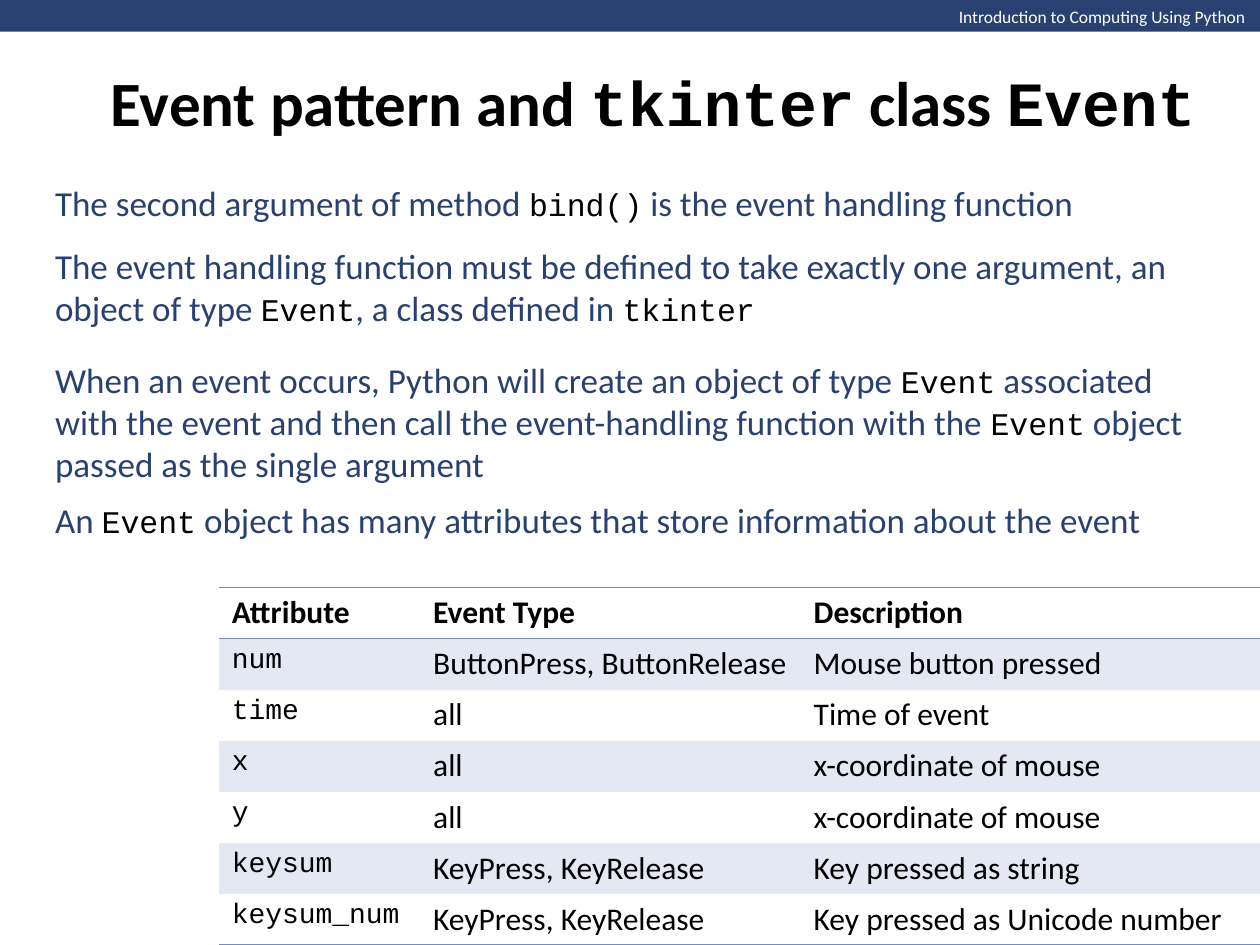
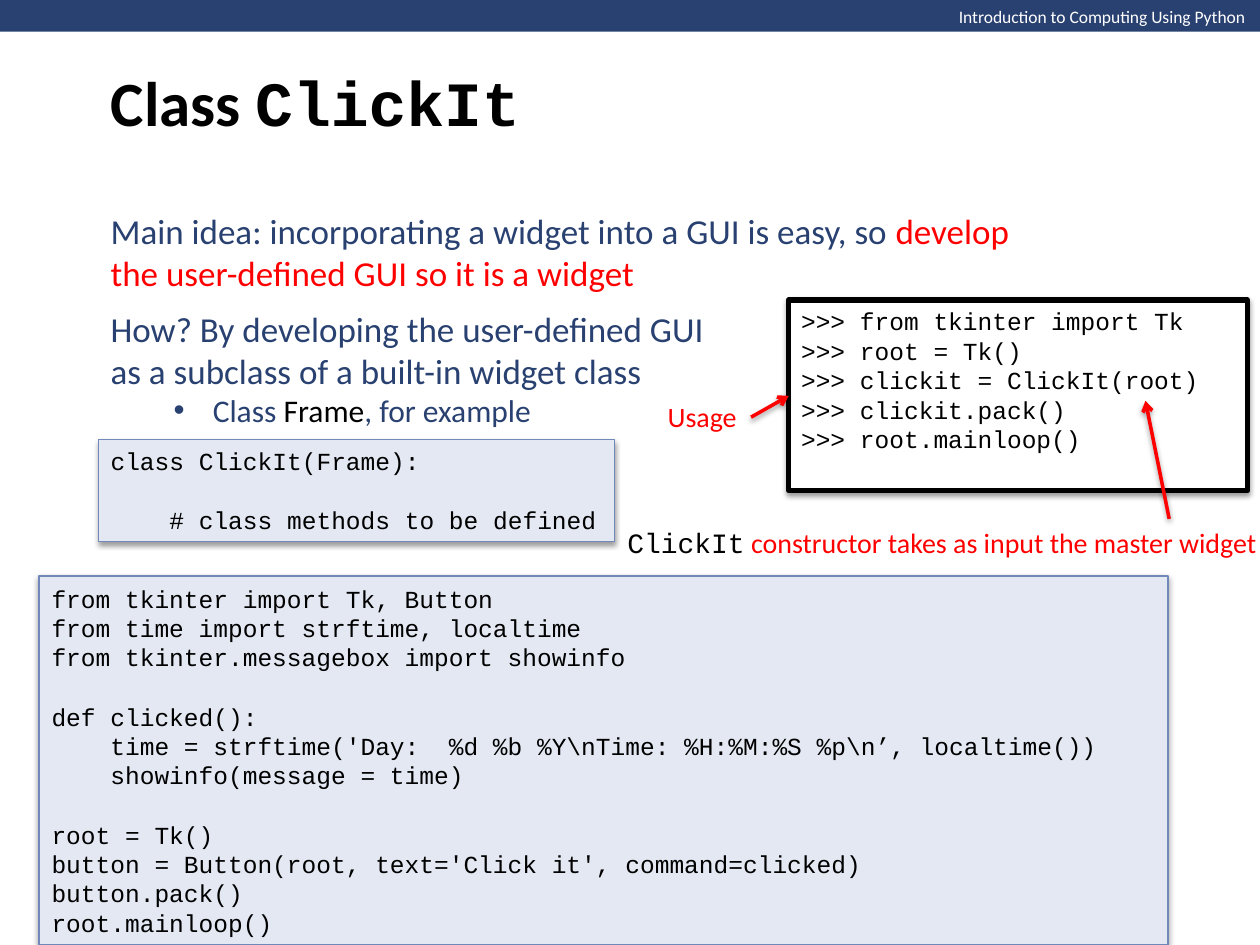
"""Build two lecture slides on tkinter events and the ClickIt widget class."""
import collections

import lxml.etree
import pptx
import pptx.dml.color
import pptx.enum.dml
import pptx.enum.shapes
import pptx.enum.text
import pptx.oxml.ns
import pptx.util

Cm, Pt = pptx.util.Cm, pptx.util.Pt
RGB = pptx.dml.color.RGBColor.from_string
qn = pptx.oxml.ns.qn
Anchor = pptx.enum.text.MSO_ANCHOR
Style = collections.namedtuple("Style", "font size color bold", defaults=[False])


class Theme:
    navy, black, white, red = "294171", "000000", "FFFFFF", "FF0000"
    rule, panel, panel_edge = "748CBC", "E3E8F2", "7088BA"
    sans, mono = "Calibri", "Courier New"
    blank_line = 17
    course = Style(sans, 10, white)
    title = Style(sans, 36, black, True)
    title_code = Style(mono, 36, black, True)
    body = Style(sans, 20, navy)
    body_code = Style(mono, 18, black)
    emphasis = Style(sans, 20, red)
    bullet = Style(sans, 18, navy)
    bullet_name = Style(sans, 18, black)
    heading = Style(sans, 18, black, True)
    entry = Style(sans, 18, black)
    attribute = Style(mono, 16, black)
    listing = Style(mono, 14, black)
    note = Style(sans, 16, red)
    note_code = Style(mono, 16, black)


def write(frame, paragraphs, anchor=Anchor.MIDDLE):
    frame.vertical_anchor = anchor
    paragraph, gap = frame.paragraphs[0], 0
    for index, pieces in enumerate(paragraphs):
        if not pieces:
            gap = Theme.blank_line
            continue
        if index:
            paragraph = frame.add_paragraph()
        paragraph.alignment = pptx.enum.text.PP_ALIGN.LEFT
        if gap:
            paragraph.space_before = Pt(gap)
            gap = 0
        runs = [paragraph.add_run() for piece in pieces]
        for run, (text, style) in zip(runs, pieces):
            run.text = text
        uniform = len({style for text, style in pieces}) == 1
        targets = [paragraph] if uniform else runs
        for target, (text, style) in zip(targets, pieces):
            target.font.name = style.font
            target.font.size = Pt(style.size)
            target.font.bold = style.bold
            target.font.color.rgb = RGB(style.color)


def add_shadow(shape):
    effects = lxml.etree.SubElement(shape.element.spPr, qn("a:effectLst"))
    shadow = lxml.etree.SubElement(
        effects, qn("a:outerShdw"), blurRad="40000", dist="20000", dir="5400000", rotWithShape="0")
    color = lxml.etree.SubElement(shadow, qn("a:srgbClr"), val=Theme.black)
    lxml.etree.SubElement(color, qn("a:alpha"), val="38000")


deck = pptx.Presentation()
deck.slide_width, deck.slide_height = Cm(25.4), Cm(19.05)

titles = [
    (23.47, [("Event pattern and ", Theme.title), ("tkinter", Theme.title_code),
             (" class ", Theme.title), ("Event", Theme.title_code)]),
    (21.59, [("Class ", Theme.title), ("ClickIt", Theme.title_code)]),
]
for title_width, title_pieces in titles:
    slide = deck.slides.add_slide(deck.slide_layouts[5])
    band = slide.shapes.add_shape(
        pptx.enum.shapes.MSO_SHAPE.RECTANGLE, 0, 0, Cm(25.43), Cm(0.64))
    band.shadow.inherit = False
    band.fill.solid()
    band.fill.fore_color.rgb = RGB(Theme.navy)
    band.line.fill.background()
    course = slide.shapes.add_textbox(Cm(19.08), 0, Cm(6.35), Cm(0.69))
    write(course.text_frame, [[("Introduction to Computing Using Python", Theme.course)]], Anchor.TOP)
    title = slide.shapes.title
    title.left, title.top, title.width, title.height = Cm(1.98), 0, Cm(title_width), Cm(4.09)
    write(title.text_frame, [title_pieces])

event_slide, class_slide = deck.slides

statements = [
    (event_slide, (0.86, 3.53, 23.85, 1.12), [
        [("The second argument of method ", Theme.body), ("bind()", Theme.body_code),
         (" is the event handling function", Theme.body)]]),
    (event_slide, (0.86, 4.78, 23.85, 5.13), [
        [("The event handling function must be defined to take exactly one argument, "
          "an object of type ", Theme.body), ("Event", Theme.body_code),
         (", a class defined in ", Theme.body), ("tkinter", Theme.body_code)],
        [],
        [("When an event occurs, Python will create an object of type ", Theme.body),
         ("Event", Theme.body_code),
         (" associated with the event and then call the event-handling function with the ", Theme.body),
         ("Event", Theme.body_code), (" object passed as the single argument", Theme.body)]]),
    (event_slide, (0.86, 9.91, 23.85, 1.12), [
        [("An ", Theme.body), ("Event", Theme.body_code),
         (" object has many attributes that store information about the event", Theme.body)]]),
    (class_slide, (1.98, 4.09, 19.61, 1.96), [
        [("Main idea: incorporating a widget into a GUI is easy, so ", Theme.body),
         ("develop the user-defined GUI so it is a widget", Theme.emphasis)]]),
    (class_slide, (1.98, 6.05, 13.16, 2.74), [
        [("How? By developing the user-defined GUI as a subclass of a built-in widget class",
          Theme.body)],
        [("Class ", Theme.bullet), ("Frame", Theme.bullet_name), (", for example", Theme.bullet)]]),
]
for slide, bounds, paragraphs in statements:
    statement = slide.shapes.add_textbox(*map(Cm, bounds))
    statement.text_frame.word_wrap = True
    write(statement.text_frame, paragraphs)

example = statement.text_frame.paragraphs[1]
example.level = 1
example_format = example._p.get_or_add_pPr()
example_format.set("marL", str(Cm(2.06)))
example_format.set("indent", str(Cm(-0.79)))
bullet_font = lxml.etree.Element(qn("a:buFont"), typeface="Arial")
bullet_mark = lxml.etree.Element(qn("a:buChar"), char="•")
example_format.insert(0, bullet_font)
bullet_font.addnext(bullet_mark)

attributes = [
    ("Attribute", "Event Type", "Description"),
    ("num", "ButtonPress, ButtonRelease", "Mouse button pressed"),
    ("time", "all", "Time of event"),
    ("x", "all", "x-coordinate of mouse"),
    ("y", "all", "x-coordinate of mouse"),
    ("keysum", "KeyPress, KeyRelease", "Key pressed as string"),
    ("keysum_num", "KeyPress, KeyRelease", "Key pressed as Unicode number"),
]
borders = {0: ("a:lnT", "a:lnB"), len(attributes) - 1: ("a:lnB",)}
attribute_frame = event_slide.shapes.add_table(
    len(attributes), 3, Cm(4.42), Cm(11.84), Cm(21), Cm(7.21))
attribute_frame.element.find(".//" + qn("a:tableStyleId")).text = "{2D5ABB26-0587-4C30-8999-92F81FD0307C}"
attribute_table = attribute_frame.table
attribute_table.horz_banding = False
for column, width in zip(attribute_table.columns, (4.06, 7.67, 9.27)):
    column.width = Cm(width)
for row_index, entries in enumerate(attributes):
    attribute_table.rows[row_index].height = Cm(1.03)
    for column_index, entry in enumerate(entries):
        cell = attribute_table.cell(row_index, column_index)
        style = Theme.attribute if column_index == 0 else Theme.entry
        if row_index == 0:
            style = Theme.heading
        write(cell.text_frame, [[(entry, style)]], Anchor.TOP)
        cell.vertical_anchor = Anchor.TOP
        for edge in borders.get(row_index, ()):
            border = lxml.etree.SubElement(
                cell._tc.get_or_add_tcPr(), qn(edge), w=str(Pt(1)))
            border_fill = lxml.etree.SubElement(border, qn("a:solidFill"))
            lxml.etree.SubElement(border_fill, qn("a:srgbClr"), val=Theme.rule)
        if row_index % 2:
            cell.fill.solid()
            cell.fill.fore_color.rgb = RGB(Theme.panel)
        else:
            cell.fill.background()

program = [
    "from tkinter import Tk, Button",
    "from time import strftime, localtime",
    "from tkinter.messagebox import showinfo",
    "",
    "def clicked():",
    "    time = strftime('Day:  %d %b %Y\\nTime: %H:%M:%S %p\\n’, localtime())",
    "    showinfo(message = time)",
    "",
    "root = Tk()",
    "button = Button(root, text='Click it', command=clicked)",
    "button.pack()",
    "root.mainloop()",
]
skeleton = ["class ClickIt(Frame):", "", "    # class methods to be defined"]
session = [
    ">>> from tkinter import Tk",
    ">>> root = Tk()",
    ">>> clickit = ClickIt(root)",
    ">>> clickit.pack()",
    ">>> root.mainloop()",
]
listings = [
    ((0.79, 11.61, 22.76, 7.44), program, Theme.panel, Theme.panel_edge, 0.75, Anchor.MIDDLE),
    ((1.98, 8.86, 10.41, 2.06), skeleton, Theme.panel, Theme.panel_edge, 0.75, Anchor.MIDDLE),
    ((15.9, 6.05, 9.25, 3.84), session, Theme.white, Theme.black, 3, Anchor.TOP),
]
for bounds, code, fill, edge, weight, anchor in listings:
    listing = class_slide.shapes.add_shape(
        pptx.enum.shapes.MSO_SHAPE.RECTANGLE, *map(Cm, bounds))
    listing.fill.solid()
    listing.fill.fore_color.rgb = RGB(fill)
    listing.line.color.rgb = RGB(edge)
    listing.line.width = Pt(weight)
    add_shadow(listing)
    listing.text_frame.word_wrap = True
    write(listing.text_frame, [[(line, Theme.listing)] if line else [] for line in code], anchor)

notes = [
    ((13.21, 7.92, 1.93, 0.94), [("Usage", Theme.note)], (15.14, 8.41, 15.9, 7.98)),
    ((12.4, 10.46, 13.41, 0.94),
     [("ClickIt", Theme.note_code), (" constructor takes as input the master widget", Theme.note)],
     (23.57, 10.46, 23.09, 8.08)),
]
for bounds, pieces, ends in notes:
    note = class_slide.shapes.add_textbox(*map(Cm, bounds))
    write(note.text_frame, [pieces])
    pointer = class_slide.shapes.add_connector(
        pptx.enum.shapes.MSO_CONNECTOR.STRAIGHT, *map(Cm, ends))
    pointer.line.color.rgb = RGB(Theme.red)
    pointer.line.width = Pt(2)
    lxml.etree.SubElement(pointer.element.spPr.find(qn("a:ln")), qn("a:tailEnd"), type="arrow")
    add_shadow(pointer)

deck.save("out.pptx")
